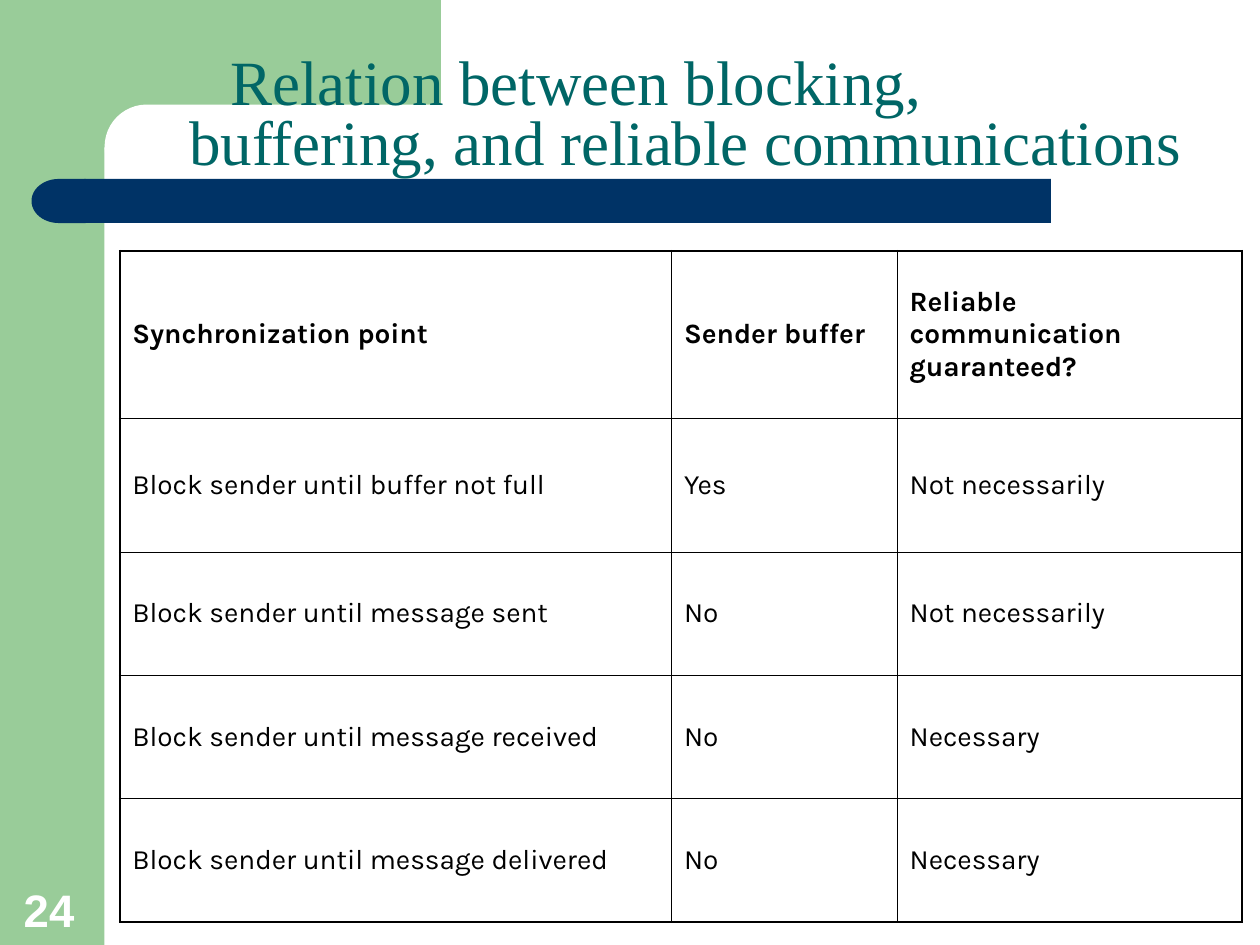
"""Build a slide with a table relating blocking, buffering and reliable communication."""
from lxml.etree import SubElement
from pptx import Presentation
from pptx.dml.color import RGBColor
from pptx.enum.shapes import MSO_SHAPE as SHAPE
from pptx.enum.text import MSO_ANCHOR as ANCHOR, PP_ALIGN as ALIGN
from pptx.oxml.ns import qn
from pptx.util import Inches, Pt

COLORS = {"green": "99CC99", "navy": "003366", "teal": "006666",
          "white": "FFFFFF", "black": "000000"}


def style_font(font, color, **values):
    font.color.rgb = RGBColor.from_string(COLORS[color])
    for name, value in values.items():
        setattr(font, name, value)


def add_border(tc_pr, side, width):
    ln = SubElement(tc_pr, qn(f"a:ln{side}"), w=str(Pt(width)))
    fill = SubElement(ln, qn("a:solidFill"))
    SubElement(fill, qn("a:srgbClr"), val=COLORS["black"])


prs = Presentation()
prs.slide_width, prs.slide_height = Inches(10), Inches(7.5)
s = prs.slides.add_slide(prs.slide_layouts[5])

decorations = [
    (SHAPE.RECTANGLE, (0, 0, 0.83, 7.5), "green", 0),
    (SHAPE.RECTANGLE, (0.75, 0, 2.75, 1.17), "green", 0),
    (SHAPE.ROUNDED_RECTANGLE, (0.83, 0.83, 3.42, 0.67), "white", 0),
    (SHAPE.RECTANGLE, (0.67, 1.42, 7.67, 0.35), "navy", 0),
    (SHAPE.FLOWCHART_DELAY, (0.25, 1.42, 0.43, 0.35), "navy", 180),
]
for kind, box, color, rotation in decorations:
    sp = s.shapes.add_shape(kind, *map(Inches, box))
    sp.shadow.inherit = False
    sp.fill.solid()
    sp.fill.fore_color.rgb = RGBColor.from_string(COLORS[color])
    sp.line.fill.background()
    sp.rotation = rotation
    if kind == SHAPE.ROUNDED_RECTANGLE:
        sp.adjustments[0] = 0.5

number = s.shapes.add_textbox(*map(Inches, (0.09, 6.94, 0.64, 0.54)))
tf = number.text_frame
tf.word_wrap = True
tf.vertical_anchor = ANCHOR.BOTTOM
r = tf.paragraphs[0].add_run()
r.text = "24"
style_font(r.font, "white", name="Arial", size=Pt(26), bold=True)

title = s.shapes.title
title.element.getparent().append(title.element)
title.left, title.top, title.width, title.height = map(Inches, (0.89, 0.8, 9.11, 0.61))
tf = title.text_frame
tf.word_wrap = True
tf.vertical_anchor = ANCHOR.BOTTOM
for side in ("left", "top", "right", "bottom"):
    setattr(tf, f"margin_{side}", 0)
tf.text = "Relation between blocking,\vbuffering, and reliable communications"
p = tf.paragraphs[0]
p.alignment = ALIGN.LEFT
p.line_spacing = 0.8
p_pr = p._p.get_or_add_pPr()
p_pr.set("marL", str(Inches(0.61)))
p_pr.set("indent", str(Inches(0.33)))
for r in p.runs:
    style_font(r.font, "teal", name="Times New Roman", size=Pt(36))

rows = [
    ("Synchronization point", "Sender buffer", "Reliable communication guaranteed?"),
    ("Block sender until buffer not full", "Yes", "Not necessarily"),
    ("Block sender until message sent", "No", "Not necessarily"),
    ("Block sender until message received", "No", "Necessary"),
    ("Block sender until message delivered", "No", "Necessary"),
]
col_widths = [4.38, 1.79, 2.74]
row_heights = [1.33, 1.06, 0.98, 0.98, 0.98]
table = s.shapes.add_table(len(rows), len(col_widths), Inches(0.95), Inches(1.99),
                           Inches(sum(col_widths)), Inches(sum(row_heights))).table
table.first_row = table.horz_banding = False
for column, width in zip(table.columns, col_widths):
    column.width = Inches(width)
for row, height in zip(table.rows, row_heights):
    row.height = Inches(height)

for i, texts in enumerate(rows):
    for j, text in enumerate(texts):
        cell = table.cell(i, j)
        cell.text = text
        cell.vertical_anchor = ANCHOR.MIDDLE
        r = cell.text_frame.paragraphs[0].runs[0]
        style_font(r.font, "black", name="Karla", size=Pt(16), bold=i == 0)
        outer = {"L": j == 0, "R": j == len(texts) - 1,
                 "T": i == 0, "B": i == len(rows) - 1}
        for side, is_outer in outer.items():
            add_border(cell._tc.get_or_add_tcPr(), side, 1.08 if is_outer else 0.45)
        cell.fill.background()

prs.save("out.pptx")
